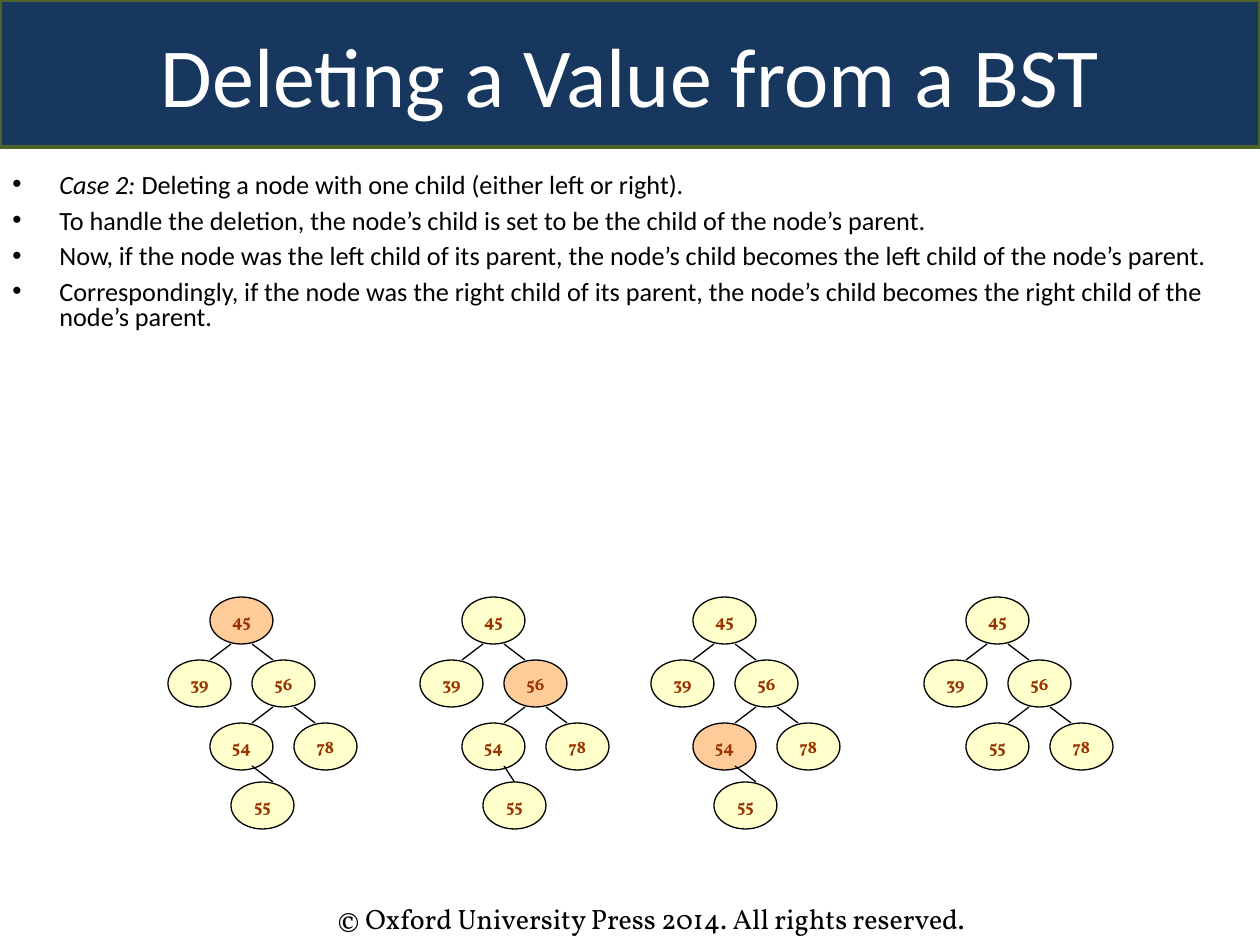
from lxml.etree import SubElement
from pptx import Presentation
from pptx.dml.color import RGBColor
from pptx.enum.shapes import MSO_CONNECTOR, MSO_SHAPE
from pptx.enum.text import MSO_ANCHOR, MSO_AUTO_SIZE, PP_ALIGN
from pptx.oxml.ns import qn
from pptx.util import Pt

EMU_PER_PX = 914400 / 126
NODE_WIDTH, NODE_HEIGHT = 63, 47
THIRD = NODE_WIDTH // 3
ROW_TOPS = [597, 660, 723, 782]


def px(length):
    return round(length * EMU_PER_PX)


def color(value):
    return RGBColor.from_string(value)


def add_bullet(para, indent, ink):
    properties = para._p.get_or_add_pPr()
    properties.set("marL", str(px(indent)))
    properties.set("indent", str(-px(indent)))
    bullet_color = SubElement(properties, qn("a:buClr"))
    SubElement(bullet_color, qn("a:srgbClr"), val=ink)
    SubElement(properties, qn("a:buFont"), typeface="Arial")
    SubElement(properties, qn("a:buChar"), char="•")


def write(frame, text, *, font, size, ink="000000", bold=False, align=PP_ALIGN.LEFT,
          anchor=MSO_ANCHOR.TOP, lead="", indent=0, line_spacing=None, gap=0):
    """Put each line of text in its own paragraph, after an optional italic lead."""
    frame.word_wrap = True
    frame.auto_size = MSO_AUTO_SIZE.NONE
    frame.vertical_anchor = anchor
    for index, line in enumerate(text.split("\n")):
        para = frame.paragraphs[0] if index == 0 else frame.add_paragraph()
        if indent:
            add_bullet(para, indent, ink)
        para.alignment = align
        para.line_spacing = line_spacing
        para.space_before = Pt(gap if index else 0)
        parts = [(line, False)]
        if lead and index == 0:
            parts.insert(0, (lead, True))
        for words, italic in parts:
            span = para.add_run()
            span.text = words
            span.font.name = font
            span.font.size = Pt(size)
            span.font.bold = bold
            span.font.italic = italic
            span.font.color.rgb = color(ink)


class TreeSlide:
    body_font = "Calibri"
    label_font = "Vollkorn"
    node_fill = "FFFFCC"
    visited_fill = "FFCC99"
    line_color = "000000"

    def __init__(self, page):
        self.page = page

    def paint(self, shape, fill, line, weight):
        shape.fill.solid()
        shape.fill.fore_color.rgb = color(fill)
        shape.line.color.rgb = color(line)
        shape.line.width = Pt(weight)

    def title(self, text, left, top, width, height):
        box = self.page.shapes.title
        box.left, box.top, box.width, box.height = map(px, (left, top, width, height))
        self.paint(box, "17375E", "4F6228", 2)
        write(box.text_frame, text, font=self.body_font, size=48, ink="FFFFFF",
              align=PP_ALIGN.CENTER, anchor=MSO_ANCHOR.MIDDLE)

    def text(self, text, left, top, width, height, **style):
        box = self.page.shapes.add_textbox(*map(px, (left, top, width, height)))
        write(box.text_frame, text, **style)

    def node(self, label, left, top, visited):
        oval = self.page.shapes.add_shape(
            MSO_SHAPE.OVAL, *map(px, (left, top, NODE_WIDTH, NODE_HEIGHT)))
        oval.shadow.inherit = False
        self.paint(oval, self.visited_fill if visited else self.node_fill,
                   self.line_color, 0.75)
        write(oval.text_frame, label, font=self.label_font, size=10, ink="993300",
              bold=True, align=PP_ALIGN.CENTER)

    def edge(self, start_x, start_y, end_x, end_y):
        line = self.page.shapes.add_connector(
            MSO_CONNECTOR.STRAIGHT, *map(px, (start_x, start_y, end_x, end_y)))
        line.line.color.rgb = color(self.line_color)
        line.line.width = Pt(0.75)
        SubElement(line._element.spPr, qn("a:effectLst"))

    def branch(self, parent_left, row, side, start_drop=NODE_HEIGHT, end_y=None):
        """Draw an edge down from a node, to the left (-1) or the right (1)."""
        start_x = parent_left + (THIRD if side < 0 else 2 * THIRD)
        self.edge(start_x, ROW_TOPS[row] + start_drop,
                  start_x + side * THIRD, end_y or ROW_TOPS[row + 1])

    def tree(self, root, lower_left, visited=None, leaf=None, leaf_edge_end=None):
        step = 2 * THIRD
        self.node("45", root, ROW_TOPS[0], visited == "45")
        # Parent left, parent row, side, child label, child left
        children = [
            (root, 0, -1, "39", root - step),
            (root, 0, 1, "56", root + step),
            (root + step, 1, 1, "78", root + 2 * step),
            (root + step, 1, -1, lower_left, root),
        ]
        for parent_left, row, side, label, left in children:
            self.branch(parent_left, row, side)
            self.node(label, left, ROW_TOPS[row + 1], visited == label)
        if leaf:
            self.branch(root, 2, 1, start_drop=43, end_y=leaf_edge_end)
            self.node(leaf, root + THIRD, ROW_TOPS[3], visited == leaf)


def main():
    deck = Presentation()
    deck.slide_width, deck.slide_height = px(1260), px(945)
    slide = TreeSlide(deck.slides.add_slide(deck.slide_layouts[5]))

    # Heading and copyright line
    slide.title("Deleting a Value from a BST", 0, 0, 1260, 147)
    slide.text("© Oxford University Press 2014. All rights reserved.",
               325, 895, 746, 47, font=slide.label_font, size=16)

    # Explanation
    slide.text(
        " Deleting a node with one child (either left or right).\n"
        "To handle the deletion, the node’s child is set to be the child of the node’s parent.\n"
        "Now, if the node was the left child of its parent, the node’s child becomes"
        " the left child of the node’s parent.\n"
        "Correspondingly, if the node was the right child of its parent, the node’s child becomes"
        " the right child of the node’s parent.",
        0, 168, 1229, 220, font=slide.body_font, size=15, lead="Case 2:",
        indent=47, line_spacing=0.8, gap=6)

    # Search steps, then the tree after deletion
    slide.tree(210, "54", visited="45", leaf="55")
    slide.tree(462, "54", visited="56", leaf="55", leaf_edge_end=798)
    slide.tree(693, "54", visited="54", leaf="55")
    slide.tree(966, "55")

    deck.save("out.pptx")


if __name__ == "__main__":
    main()
